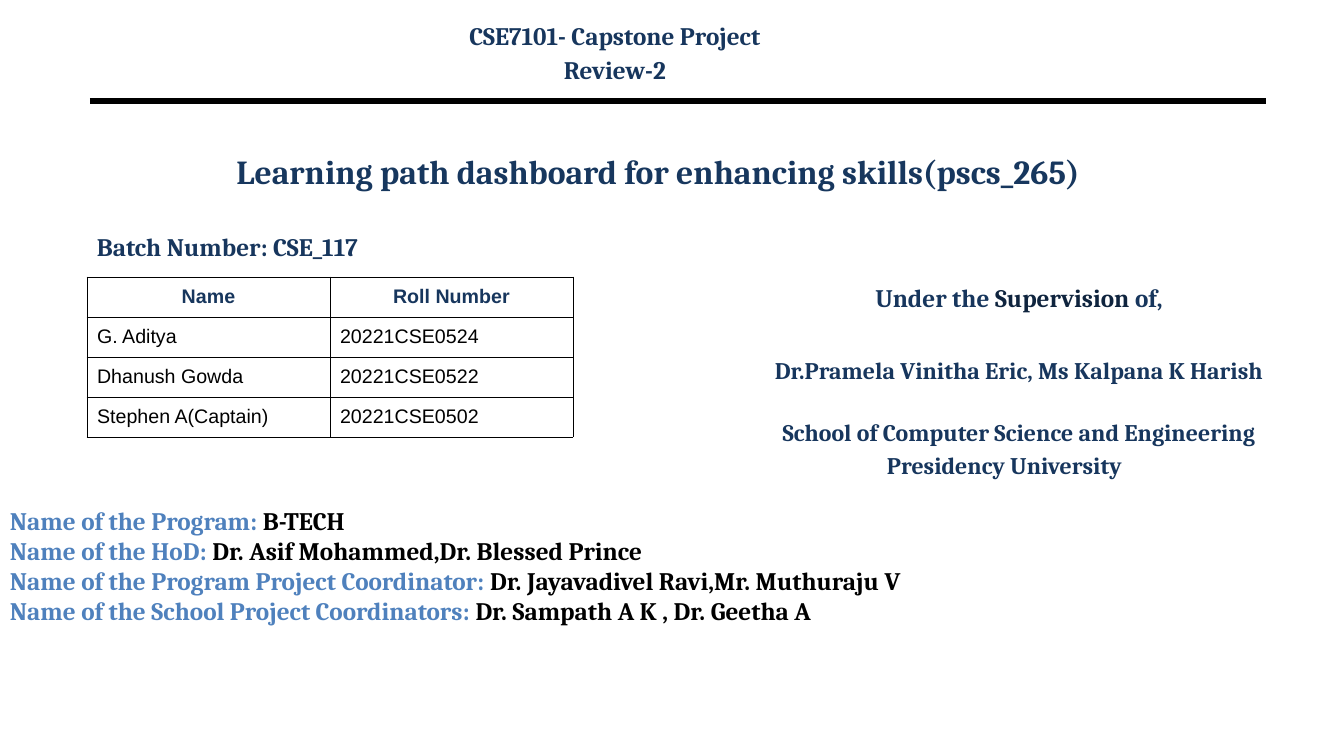
from dataclasses import dataclass

import lxml.etree
import pptx
import pptx.dml.color
import pptx.enum.shapes
import pptx.enum.text
import pptx.oxml.ns
import pptx.util

ALIGN = pptx.enum.text.PP_ALIGN
ANCHOR = pptx.enum.text.MSO_ANCHOR
EMU_PER_PX = 914400 / 100.8


@dataclass(frozen=True)
class Theme:
    serif: str = "Cambria"
    sans: str = "Arial"
    title_navy: str = "17375E"
    navy: str = "17365D"
    deep_navy: str = "0F243E"
    label_blue: str = "4F81BD"
    black: str = "000000"
    title_size: int = 24
    body_size: int = 18
    school_size: int = 17
    table_size: int = 14
    rule_width: float = 4.5
    border_width: float = 0.6


THEME = Theme()


def px(length):
    return pptx.util.Emu(round(length * EMU_PER_PX))


def rgb(colour):
    return pptx.dml.color.RGBColor.from_string(colour)


class SlideBuilder:
    def __init__(self, theme, width, height):
        self.theme = theme
        self.deck = pptx.Presentation()
        self.deck.slide_width, self.deck.slide_height = px(width), px(height)
        self.slide = self.deck.slides.add_slide(self.deck.slide_layouts[6])

    def paragraph(self, paragraph, runs, size, font=None, bold=True, **layout):
        """Fill a paragraph with (text, colour) runs and set its layout."""
        for attribute, value in layout.items():
            setattr(paragraph, attribute, value)
        letters = {"name": font or self.theme.serif,
                   "size": pptx.util.Pt(size), "bold": bold}
        for text, colour in runs:
            run = paragraph.add_run()
            run.text = text
            for attribute, value in letters.items():
                setattr(run.font, attribute, value)
            run.font.color.rgb = rgb(colour)

    def text(self, box, paragraphs, anchor=ANCHOR.TOP):
        """Add a text box; each paragraph is a dict for self.paragraph."""
        frame = self.slide.shapes.add_textbox(*map(px, box)).text_frame
        frame.word_wrap = True
        frame.vertical_anchor = anchor
        for index, content in enumerate(paragraphs):
            target = frame.add_paragraph() if index else frame.paragraphs[0]
            self.paragraph(target, **content)

    def rule(self, left, right, y):
        rule = self.slide.shapes.add_connector(
            pptx.enum.shapes.MSO_CONNECTOR.STRAIGHT, px(left), px(y), px(right), px(y))
        rule.line.color.rgb = rgb(self.theme.black)
        rule.line.width = pptx.util.Pt(self.theme.rule_width)
        lxml.etree.SubElement(rule._element.spPr, pptx.oxml.ns.qn("a:effectLst"))

    def border(self, cell):
        """Draw a thin solid line on all four sides of a cell."""
        properties = cell._tc.get_or_add_tcPr()
        qn = pptx.oxml.ns.qn
        width = str(pptx.util.Pt(self.theme.border_width))
        for position, side in enumerate(("lnL", "lnR", "lnT", "lnB")):
            line = lxml.etree.Element(qn(f"a:{side}"), w=width)
            fill = lxml.etree.SubElement(line, qn("a:solidFill"))
            lxml.etree.SubElement(fill, qn("a:srgbClr"), val=self.theme.black)
            properties.insert(position, line)

    def table(self, left, top, column_width, row_height, rows):
        columns = len(rows[0])
        table = self.slide.shapes.add_table(
            len(rows), columns, px(left), px(top),
            px(column_width * columns), px(row_height * len(rows))).table
        table.first_row = table.horz_banding = False
        for r, row in enumerate(rows):
            header = r == 0
            colour = self.theme.navy if header else self.theme.black
            for c, value in enumerate(row):
                cell = table.cell(r, c)
                cell.fill.background()
                cell.vertical_anchor = ANCHOR.MIDDLE
                self.border(cell)
                self.paragraph(cell.text_frame.paragraphs[0], [(value, colour)],
                               self.theme.table_size, self.theme.sans, header,
                               alignment=ALIGN.CENTER if header else ALIGN.LEFT)


def main():
    builder = SlideBuilder(THEME, 1344, 756)
    pt = pptx.util.Pt
    body, school = THEME.body_size, THEME.school_size
    centred = {"alignment": ALIGN.CENTER}

    builder.rule(90, 1266, 101)
    builder.text((87, 118, 1142, 106), [
        dict(runs=[("Learning path dashboard for enhancing skills(pscs_265)",
                    THEME.title_navy)], size=THEME.title_size, **centred),
    ], ANCHOR.MIDDLE)
    builder.text((87, 226, 484, 60), [
        dict(runs=[("Batch Number: CSE_117", THEME.navy)], size=body),
    ])
    builder.text((715, 277, 608, 223), [
        dict(runs=[("Under the ", THEME.navy), ("Supervision", THEME.deep_navy),
                   (" of,", THEME.navy)], size=body, **centred),
        dict(runs=[("Dr.Pramela Vinitha Eric, Ms Kalpana K Harish", THEME.navy)],
             size=school, space_before=pt(31.2), **centred),
        dict(runs=[("School of Computer Science and Engineering", THEME.navy)],
             size=school, space_before=pt(23.5), **centred),
        dict(runs=[("Presidency University", THEME.navy)],
             size=school, space_before=pt(3.4)),
    ])
    university = builder.slide.shapes[-1].text_frame.paragraphs[-1]
    university._p.get_or_add_pPr().set("marL", str(px(162)))

    builder.text((312, 15, 606, 81), [
        dict(runs=[("CSE7101- Capstone Project", THEME.navy)], size=body, **centred),
        dict(runs=[("Review-2", THEME.navy)], size=body,
             space_before=pt(3.1), **centred),
    ])

    staff = [
        ("Name of the Program: ", "B-TECH"),
        ("Name of the HoD: ", "Dr. Asif Mohammed,Dr. Blessed Prince"),
        ("Name of the Program Project Coordinator: ",
         "Dr. Jayavadivel Ravi,Mr. Muthuraju V"),
        ("Name of the School Project Coordinators: ",
         "Dr. Sampath A K , Dr. Geetha A"),
    ]
    builder.text((0, 500, 1344, 172), [
        dict(runs=[(label, THEME.label_blue), (names, THEME.black)], size=body)
        for label, names in staff
    ])

    builder.table(87, 277, 243, 40, [
        ("Name", "Roll Number"),
        ("G. Aditya", "20221CSE0524"),
        ("Dhanush Gowda", "20221CSE0522"),
        ("Stephen A(Captain)", "20221CSE0502"),
    ])
    builder.deck.save("out.pptx")


if __name__ == "__main__":
    main()
